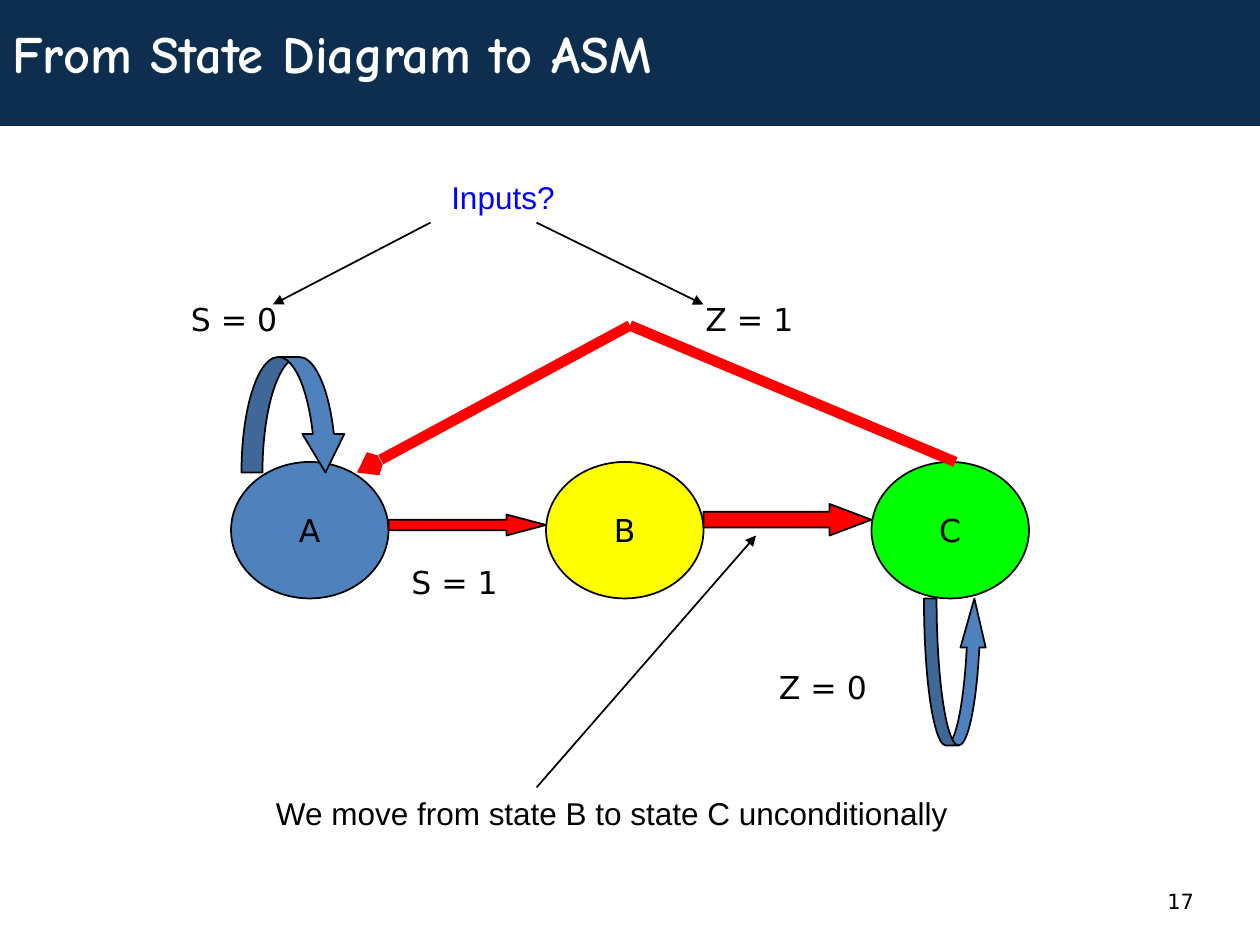
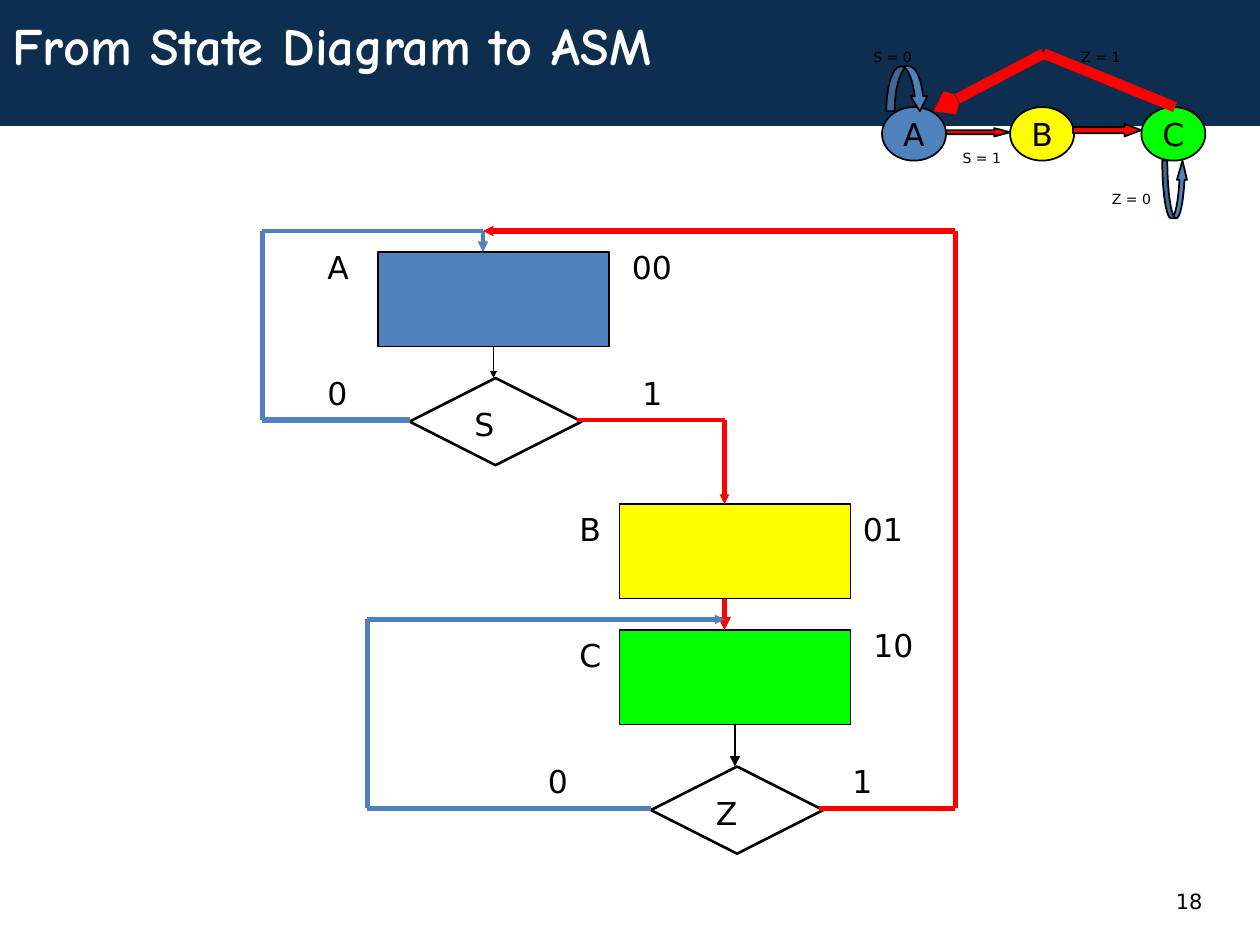
"""Build two slides that turn a state diagram into an ASM chart."""
from typing import Any, NamedTuple, Optional

from lxml import etree
from pptx import Presentation
from pptx import util as u
from pptx.dml.color import RGBColor
from pptx.enum import shapes, text
from pptx.oxml.ns import qn

EMU_PER_PX = 7620
NAVY, BLUE, YELLOW, GREEN = "0D2E4F", "4F81BD", "FFFF00", "00FF00"
RED, BLACK, WHITE, LINK_BLUE = "FF0000", "000000", "FFFFFF", "0000FF"
Preset = shapes.MSO_SHAPE


class Box(NamedTuple):
    left: int
    top: int
    width: int
    height: int


class Style(NamedTuple):
    size: int = 18
    font: str = "DejaVu Sans"
    color: str = BLACK
    bold: bool = False


class Figure(NamedTuple):
    preset: Any
    box: Box
    fill: str
    caption: str = ""
    adjustments: tuple[float, ...] = ()
    outline: float = 1


class Label(NamedTuple):
    caption: str
    left: int
    top: int
    width: int = 70


class Wire(NamedTuple):
    start: tuple[int, int]
    end: tuple[int, int]
    color: str = BLACK
    width: float = 1
    head: str = ""
    head_size: str = "med"
    source: Optional[str] = None


class View(NamedTuple):
    left: int
    top: int
    scale_x: float
    scale_y: float
    label_size: int
    label_widths: tuple[int, ...]
    label_height: int

    def point(self, x: int, y: int) -> tuple[int, int]:
        return (round(self.left + (x - STATE_LEFT) * self.scale_x),
                round(self.top + (y - STATE_TOP) * self.scale_y))

    def box(self, box: Box) -> Box:
        return Box(*self.point(box.left, box.top),
                   round(box.width * self.scale_x), round(box.height * self.scale_y))


TITLE = Style(30, "Comic Neue", WHITE, True)
NUMBER = Style(12)
LABEL_HEIGHT = 48
STATE_LEFT, STATE_TOP = 220, 440
FULL_VIEW = View(STATE_LEFT, STATE_TOP, 1, 1, 18, (140,) * 4, LABEL_HEIGHT)
SMALL_VIEW = View(840, 102, 0.405, 0.39, 8, (70, 86, 85, 68), 29)

STATES = [
    Figure(Preset.OVAL, Box(left, STATE_TOP, 150, 130), fill, name)
    for name, left, fill in (("A", STATE_LEFT, BLUE), ("B", 520, YELLOW), ("C", 830, GREEN))
]
TRANSITIONS = [
    Figure(Preset.RIGHT_ARROW, Box(370, 490, 150, 20), RED, "", (0.5, 1.88)),
    Figure(Preset.RIGHT_ARROW, Box(670, 480, 160, 30), RED, "", (0.5, 1.33)),
]
LOOPS = [
    (Preset.CURVED_DOWN_ARROW, Box(230, 340, 100, 110)),
    (Preset.CURVED_UP_ARROW, Box(880, 570, 60, 140)),
]
CONDITIONS = [("S = 0", 170, 280), ("S = 1", 380, 530), ("Z = 0", 730, 630), ("Z = 1", 660, 280)]
RETURN_PATH = [(910, 440), (600, 310), (340, 450)]

POINTERS = [
    Wire((410, 212), (260, 290), head="triangle"),
    Wire((511, 212), (670, 290), head="triangle"),
    Wire((511, 750), (720, 510), head="triangle"),
]

STATE_BOXES = {
    "A": Figure(Preset.RECTANGLE, Box(360, 240, 220, 90), BLUE),
    "B": Figure(Preset.RECTANGLE, Box(590, 480, 220, 90), YELLOW),
    "C": Figure(Preset.RECTANGLE, Box(590, 600, 220, 90), GREEN),
}
DECISIONS = [
    Figure(Preset.DIAMOND, Box(left, top, 164, 83), WHITE, outline=1.5)
    for left, top in ((390, 360), (620, 730))
]
WIRES = [
    Wire((470, 330), (470, 360), head="triangle", head_size="sm", source="A"),
    Wire((390, 400), (250, 400), BLUE, 3),
    Wire((250, 400), (250, 220), BLUE, 3),
    Wire((250, 220), (460, 220), BLUE, 2.75),
    Wire((460, 220), (460, 240), BLUE, 2, "triangle"),
    Wire((550, 400), (690, 400), RED, 2.75),
    Wire((690, 400), (690, 480), RED, 2.75, "triangle", "sm"),
    Wire((690, 570), (690, 600), RED, 2.5, "triangle"),
    Wire((700, 690), (700, 730), head="triangle", source="C"),
    Wire((620, 770), (350, 770), BLUE, 2.75),
    Wire((780, 770), (910, 770), RED, 3),
    Wire((910, 770), (910, 220), RED, 3),
    Wire((910, 220), (460, 220), RED, 3, "triangle", "sm"),
    Wire((350, 770), (350, 590), BLUE, 2.75),
    Wire((350, 590), (690, 590), BLUE, 2.75, "triangle", "sm"),
]
CHART_LABELS = [
    Label("A", 300, 230, 50), Label("00", 590, 230),
    Label("S", 440, 380), Label("0", 300, 350), Label("1", 600, 350),
    Label("B", 540, 480, 50), Label("C", 540, 600, 50),
    Label("01", 810, 480), Label("10", 820, 590),
    Label("Z", 670, 750), Label("0", 510, 720, 50), Label("1", 800, 720, 50),
]


def px(length: int) -> u.Emu:
    return u.Emu(length * EMU_PER_PX)


def rgb(color: str) -> RGBColor:
    return RGBColor.from_string(color)


def write(shape: Any, caption: str, style: Style, wrap: bool, anchor: Any, align: Any) -> None:
    frame = shape.text_frame
    frame.word_wrap = wrap
    frame.vertical_anchor = anchor
    paragraph = frame.paragraphs[0]
    paragraph.alignment = align
    run = paragraph.add_run()
    run.text = caption
    run.font.size = u.Pt(style.size)
    run.font.name = style.font
    run.font.bold = style.bold
    run.font.color.rgb = rgb(style.color)


def add_text(canvas: Any, box: Box, caption: str, style: Style = Style(), wrap: bool = True,
             anchor: Any = text.MSO_ANCHOR.TOP) -> None:
    shape = canvas.add_textbox(*map(px, box))
    write(shape, caption, style, wrap, anchor, text.PP_ALIGN.LEFT)


def add_figure(canvas: Any, figure: Figure) -> Any:
    shape = canvas.add_shape(figure.preset, *map(px, figure.box))
    shape.shadow.inherit = False
    shape.fill.solid()
    shape.fill.fore_color.rgb = rgb(figure.fill)
    if figure.outline:
        shape.line.color.rgb = rgb(BLACK)
        shape.line.width = u.Pt(figure.outline)
    else:
        shape.line.fill.background()
    for index, value in enumerate(figure.adjustments):
        shape.adjustments[index] = value
    if figure.caption:
        write(shape, figure.caption, Style(), False, text.MSO_ANCHOR.MIDDLE, text.PP_ALIGN.CENTER)
    return shape


def add_wire(canvas: Any, wire: Wire, source: Any = None) -> None:
    connector = canvas.add_connector(
        shapes.MSO_CONNECTOR.STRAIGHT, *map(px, wire.start + wire.end))
    connector.line.color.rgb = rgb(wire.color)
    connector.line.width = u.Pt(wire.width)
    properties = connector._element.spPr
    if wire.head:
        etree.SubElement(properties.find(qn("a:ln")), qn("a:tailEnd"),
                         type=wire.head, w=wire.head_size, len=wire.head_size)
    etree.SubElement(properties, qn("a:effectLst"))
    if source is not None:
        connector.begin_connect(source, 2)


def add_state_diagram(canvas: Any, view: View) -> None:
    for figure in STATES + TRANSITIONS:
        add_figure(canvas, figure._replace(box=view.box(figure.box)))
    for preset, loop in LOOPS:
        box = view.box(loop)
        head = box.height / 3 / min(box.width, box.height)
        add_figure(canvas, Figure(preset, box, BLUE, "", (0.2, 0.4, head)))
    corner, *_ = points = [view.point(*point) for point in RETURN_PATH]
    add_wire(canvas, Wire(corner, points[1], RED, 6))
    add_wire(canvas, Wire(points[1], points[2], RED, 6, "arrow", "sm"))
    for (caption, x, y), width in zip(CONDITIONS, view.label_widths):
        box = Box(*view.point(x, y), width, view.label_height)
        add_text(canvas, box, caption, Style(view.label_size))


def add_page(presentation: Any, title_box: Box, number: str, number_box: Box) -> Any:
    slide = presentation.slides.add_slide(presentation.slide_layouts[6])
    add_figure(slide.shapes, Figure(Preset.RECTANGLE, Box(0, 0, 1200, 120), NAVY, outline=0))
    add_text(slide.shapes, number_box, number, NUMBER)
    add_text(slide.shapes, title_box, "From State Diagram to ASM", TITLE,
             anchor=text.MSO_ANCHOR.MIDDLE)
    return slide


def add_diagram_slide(presentation: Any) -> None:
    slide = add_page(presentation, Box(0, 0, 1200, 100), "17", Box(1100, 840, 100, 60))
    add_state_diagram(slide.shapes, FULL_VIEW)
    add_text(slide.shapes, Box(418, 164, 122, LABEL_HEIGHT), "Inputs?",
             Style(font="Arial", color=LINK_BLUE), wrap=False)
    for pointer in POINTERS:
        add_wire(slide.shapes, pointer)
    add_text(slide.shapes, Box(251, 750, 664, LABEL_HEIGHT),
             "We move from state B to state C unconditionally", Style(font="Arial"), wrap=False)


def add_chart_slide(presentation: Any) -> None:
    slide = add_page(presentation, Box(0, -2, 787, 89), "18", Box(1108, 840, 89, 60))
    for decision in DECISIONS:
        add_figure(slide.shapes, decision)
    boxes = {name: add_figure(slide.shapes, figure) for name, figure in STATE_BOXES.items()}
    for wire in WIRES:
        add_wire(slide.shapes, wire, boxes.get(wire.source))
    for label in CHART_LABELS:
        add_text(slide.shapes, Box(label.left, label.top, label.width, LABEL_HEIGHT), label.caption)
    add_state_diagram(slide.shapes.add_group_shape().shapes, SMALL_VIEW)


def main() -> None:
    presentation = Presentation()
    presentation.slide_width, presentation.slide_height = px(1200), px(900)
    add_diagram_slide(presentation)
    add_chart_slide(presentation)
    presentation.save("out.pptx")


if __name__ == "__main__":
    main()
